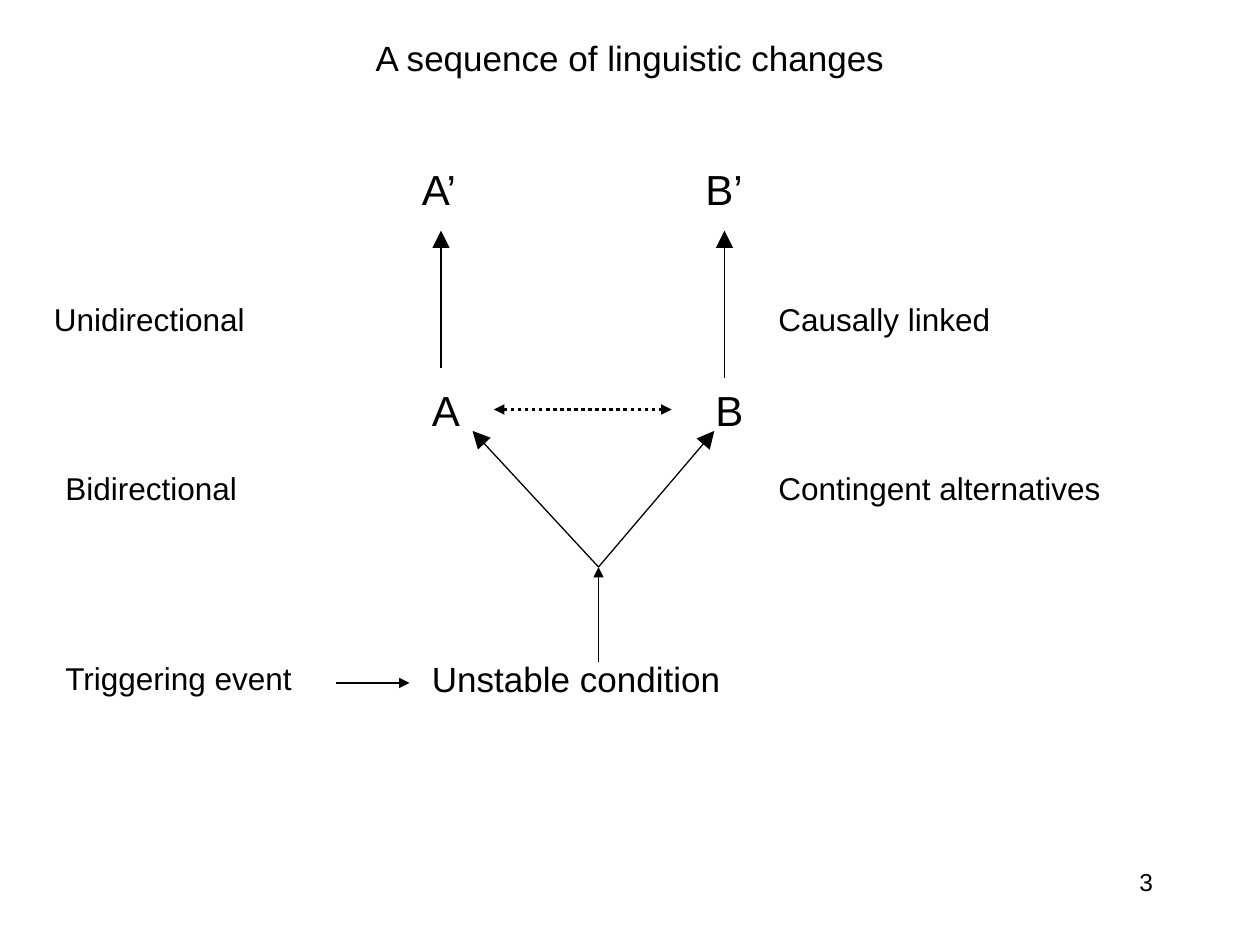
import pptx
import pptx.util
import pptx.dml.color
import pptx.enum.dml
import pptx.enum.shapes
import pptx.enum.text
import pptx.oxml.xmlchemy
from pptx.util import Inches

THEME = {
    "font": "Arial",
    "ink": pptx.dml.color.RGBColor(0, 0, 0),
    "paper": pptx.dml.color.RGBColor(255, 255, 255),
    "heading": 20,
    "state": 24,
    "label": 18,
    "number": 14,
    "thin": 0.75,
    "thick": 2,
}
ALIGN = pptx.enum.text.PP_ALIGN
ANCHOR = pptx.enum.text.MSO_ANCHOR


def write(sp, text, size, align=ALIGN.LEFT, anchor=ANCHOR.TOP):
    tf = sp.text_frame
    tf.word_wrap = True
    tf.auto_size = pptx.enum.text.MSO_AUTO_SIZE.NONE
    tf.vertical_anchor = anchor
    p = tf.paragraphs[0]
    p.alignment = align
    r = p.add_run()
    r.text = text
    r.font.size = pptx.util.Pt(size)
    r.font.name = THEME["font"]
    r.font.color.rgb = THEME["ink"]


def add_arrow(s, x1, y1, x2, y2, head="med", double=False):
    cx = s.shapes.add_connector(
        pptx.enum.shapes.MSO_CONNECTOR.STRAIGHT,
        Inches(x1), Inches(y1), Inches(x2), Inches(y2))
    cx.line.color.rgb = THEME["ink"]
    cx.line.width = pptx.util.Pt(THEME["thick" if double else "thin"])
    if double:
        cx.line.dash_style = pptx.enum.dml.MSO_LINE.ROUND_DOT
    spPr = cx.element.spPr
    ln = spPr.get_or_add_ln()
    for tag in ("a:headEnd", "a:tailEnd") if double else ("a:tailEnd",):
        end = pptx.oxml.xmlchemy.OxmlElement(tag)
        end.set("type", "triangle")
        end.set("w", head)
        end.set("len", head)
        ln.append(end)
    spPr.append(pptx.oxml.xmlchemy.OxmlElement("a:effectLst"))


prs = pptx.Presentation()
prs.slide_width = Inches(10)
prs.slide_height = Inches(7.5)
s = prs.slides.add_slide(prs.slide_layouts[5])
s.background.fill.solid()
s.background.fill.fore_color.rgb = THEME["paper"]

title = s.shapes.title
title.left, title.top = Inches(0.75), Inches(0.08)
title.width, title.height = Inches(8.5), Inches(0.75)
write(title, "A sequence of linguistic changes", THEME["heading"],
      align=ALIGN.CENTER, anchor=ANCHOR.MIDDLE)

texts = [
    ("A’", 3.25, 1.25, 0.67, 0.5, "state", ALIGN.LEFT),
    ("B’", 5.5, 1.25, 1.58, 0.5, "state", ALIGN.LEFT),
    ("A", 3.33, 3, 0.67, 0.5, "state", ALIGN.LEFT),
    ("B", 5.58, 3, 1.58, 0.5, "state", ALIGN.LEFT),
    ("Unidirectional", 0.33, 2.33, 2.75, 0.4, "label", ALIGN.LEFT),
    ("Causally linked", 6.08, 2.33, 2.75, 0.4, "label", ALIGN.LEFT),
    ("Bidirectional", 0.42, 3.67, 2.92, 0.4, "label", ALIGN.LEFT),
    ("Contingent alternatives", 6.08, 3.67, 3.17, 0.4, "label", ALIGN.LEFT),
    ("Triggering event", 0.42, 5.18, 2.17, 0.4, "label", ALIGN.LEFT),
    ("Unstable condition", 3.33, 5.17, 3, 0.44, "heading", ALIGN.LEFT),
    ("3", 7.17, 6.83, 2.08, 0.5, "number", ALIGN.RIGHT),
]
for text, x, y, w, h, size, align in texts:
    sp = s.shapes.add_textbox(Inches(x), Inches(y), Inches(w), Inches(h))
    write(sp, text, THEME[size], align=align)

fork_x, fork_y = 4.75, 4.5
for tip_x in (3.75, 5.67):
    add_arrow(s, fork_x, fork_y, tip_x, 3.42, head="lg")
for x, start_y in ((3.5, 2.92), (5.75, 3)):
    add_arrow(s, x, start_y, x, 1.83, head="lg")
add_arrow(s, fork_x, 5.25, fork_x, fork_y)
add_arrow(s, 2.67, 5.42, 3.25, 5.42)
add_arrow(s, 3.92, 3.25, 5.33, 3.25, double=True)

prs.save("out.pptx")
